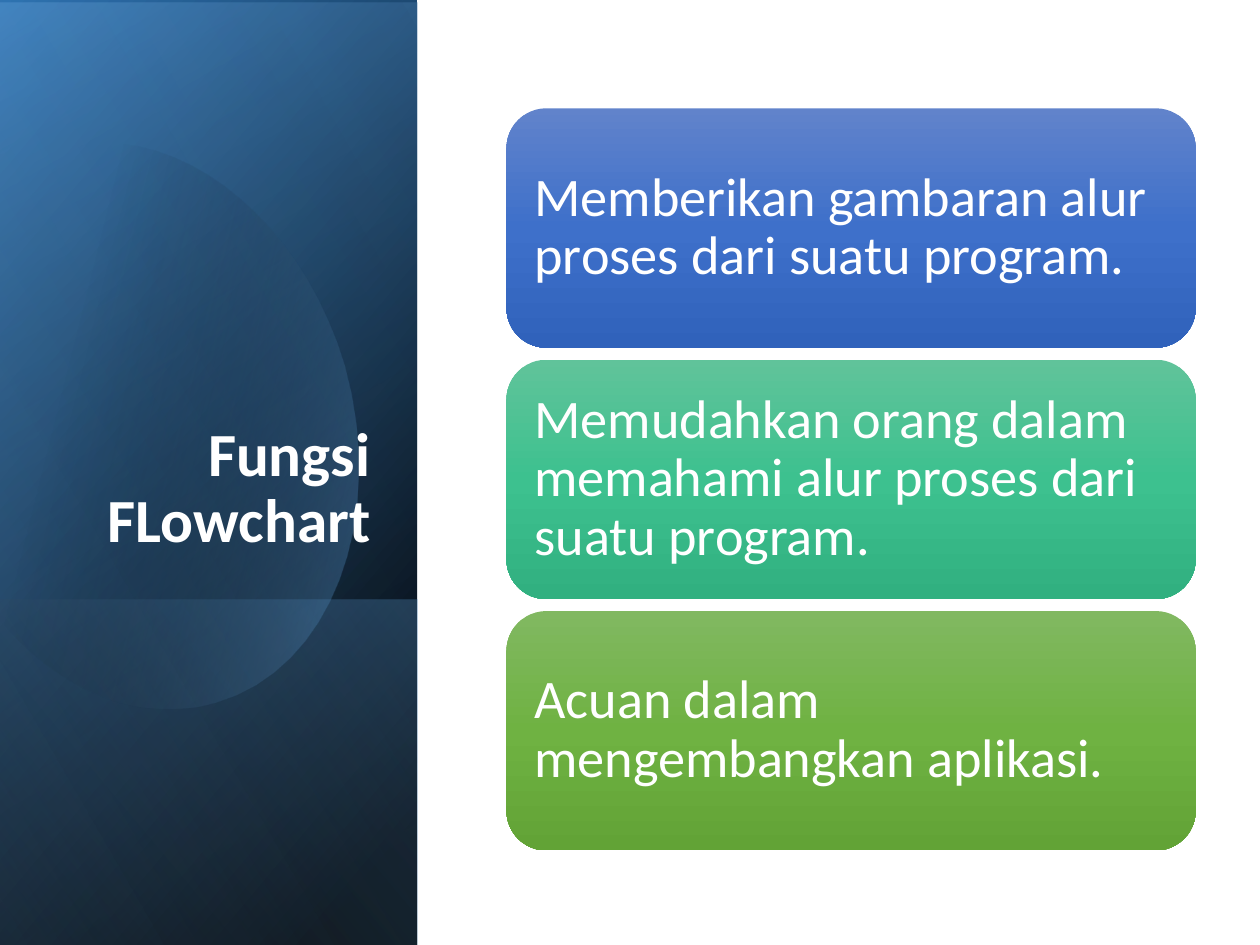
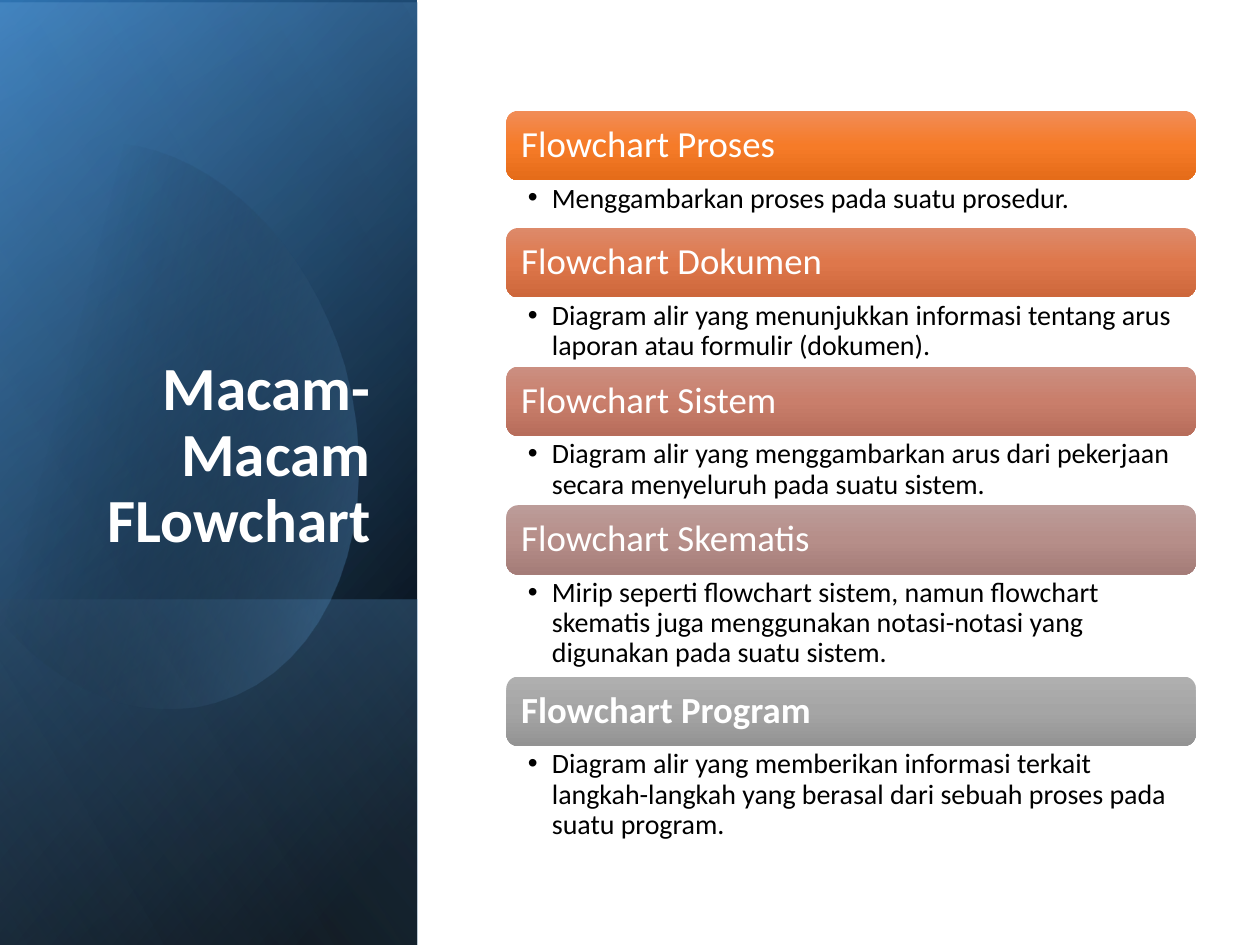
from lxml.etree import SubElement
from pptx import Presentation
from pptx.dml.color import RGBColor
from pptx.enum.shapes import MSO_SHAPE
from pptx.enum.text import MSO_ANCHOR, PP_ALIGN
from pptx.oxml.ns import qn
from pptx.util import Emu, Inches, Pt

COLUMNS, ROWS = 100, 75
FONT = "Calibri"

WHITE = RGBColor(0xFF, 0xFF, 0xFF)
BLACK = RGBColor(0x00, 0x00, 0x00)
DEEP_BLUE = RGBColor(0x2E, 0x75, 0xB6)
BLUE = RGBColor(0x5B, 0x9B, 0xD5)
PALE_BLUE = RGBColor(0x9D, 0xC3, 0xE6)


def shades(*codes):
    """Three-step gradient stops, from top to bottom."""
    return [(place, RGBColor.from_string(code), 100)
            for place, code in zip((0, 50, 100), codes)]


ROYAL = shades("6183CB", "3E70CA", "3062BB")
MINT = shades("60C39A", "3DC18F", "31B080")
GREEN = shades("81B861", "6FB242", "62A336")
ORANGE = shades("F18C57", "F67B28", "E56C19")
RUST = shades("DD8A6A", "DE774B", "CD673B")
ROSE = shades("CB8F81", "C97E6B", "B76D5B")
MAUVE = shades("BC9C99", "B68E89", "A47C78")
GREY = shades("AFAFAF", "A5A5A5", "939393")

SIDE_WIDTH = 33.1
FOOT_HEIGHT = 27.4
# Place, gradient stops (position, colour, opacity) and angle, in each case
PANEL_BASE = ((0, 0, SIDE_WIDTH, ROWS), [(8, BLACK, 100), (100, DEEP_BLUE, 100)], 50)
PANEL_GLOW = ((0, 0.2, SIDE_WIDTH, ROWS), [(0, BLACK, 0), (99, BLUE, 46)], 30)
PANEL_FOOT = ((0, ROWS - FOOT_HEIGHT, SIDE_WIDTH, FOOT_HEIGHT),
              [(2, BLUE, 29), (100, BLACK, 30)], 130)
PANEL_SHEEN = ((0, 0, SIDE_WIDTH, ROWS), [(0, BLACK, 0), (99, PALE_BLUE, 11)], 120)

OVAL_START = (9.6, 11.4)
OVAL_CURVES = [
    [(17.1, 12.2), (24.4, 19.2), (27.3, 29)],
    [(30.7, 41.2), (26.2, 53.1), (17.1, 55.7)],
    [(11.4, 57.4), (5.3, 55), (0.7, 50)],
    [(-0.3, 48.8)],
    [(-2.5, 16.6)],
    [(-1.5, 15.4)],
    [(0.2, 13.7), (2.2, 12.5), (4.5, 11.8)],
    [(6.2, 11.3), (7.9, 11.2), (9.6, 11.4)],
]
OVAL_STOPS = [(29, BLACK, 0), (100, BLUE, 43)]

LIST_LEFT, LIST_WIDTH = 40.2, 54.7
CARD_TOP, CARD_HEIGHT, CARD_STEP = 8.6, 19, 19.95
HEADING_TOP, HEADING_HEIGHT = 8.8, 5.5
BODY_HEIGHTS = {1: 3.8, 2: 5.5, 3: 8.1}

TITLE_TEXT = dict(size=35, colour=WHITE, bold=True, align=PP_ALIGN.RIGHT,
                  anchor=MSO_ANCHOR.BOTTOM, insets=(1, 0.5, 1, 0.5))
CARD_TEXT = dict(size=31, colour=WHITE, insets=(1.3,) * 4)
HEADING_TEXT = dict(size=21, colour=WHITE, insets=(0.9,) * 4)
BODY_TEXT = dict(size=16, colour=BLACK, anchor=MSO_ANCHOR.TOP,
                 insets=(1.7, 0.3, 1.6, 0.3), bullet=1.9)

FUNCTIONS = [
    ("Memberikan gambaran alur proses dari suatu program.", ROYAL),
    ("Memudahkan orang dalam memahami alur proses dari suatu program.", MINT),
    ("Acuan dalam mengembangkan aplikasi.", GREEN),
]
# Heading, colours, description, lines of description, bold heading
KINDS = [
    ("Flowchart Proses", ORANGE, "Menggambarkan proses pada suatu prosedur.", 1, False),
    ("Flowchart Dokumen", RUST,
     "Diagram alir yang menunjukkan informasi tentang arus laporan atau "
     "formulir (dokumen).", 2, False),
    ("Flowchart Sistem", ROSE,
     "Diagram alir yang menggambarkan arus dari pekerjaan secara menyeluruh "
     "pada suatu sistem.", 2, False),
    ("Flowchart Skematis", MAUVE,
     "Mirip seperti flowchart sistem, namun flowchart skematis juga menggunakan "
     "notasi-notasi yang digunakan pada suatu sistem.", 3, False),
    ("Flowchart Program", GREY,
     "Diagram alir yang memberikan informasi terkait langkah-langkah yang "
     "berasal dari sebuah proses pada suatu program.", 3, True),
]


def set_all(target, values):
    for name, value in values.items():
        setattr(target, name, value)


def curve_points(start, controls, steps=16):
    """Points along a Bézier curve, or the end point of a straight edge."""
    if len(controls) == 1:
        return controls
    points = []
    for step in range(1, steps + 1):
        t = step / steps
        weights = ((1 - t) ** 3, 3 * t * (1 - t) ** 2, 3 * t * t * (1 - t), t ** 3)
        points.append(tuple(sum(weight * point[axis] for weight, point
                                in zip(weights, [start, *controls]))
                            for axis in (0, 1)))
    return points


class Painter:
    """Holds the deck, its grid and the page being drawn."""

    def __init__(self):
        self.deck = Presentation()
        set_all(self.deck, dict(slide_width=Inches(10), slide_height=Inches(7.5)))
        self.unit = self.deck.slide_width / COLUMNS
        self.page = None

    def grid(self, *lengths):
        return [Emu(round(length * self.unit)) for length in lengths]

    def new_page(self, title):
        self.page = self.deck.slides.add_slide(self.deck.slide_layouts[6])
        for panel in (PANEL_BASE, PANEL_GLOW, PANEL_FOOT):
            self.side_panel(*panel)
        self.oval()
        self.side_panel(*PANEL_SHEEN)
        self.text_box((4.8, 18.4, 25.6, 26.2), title, TITLE_TEXT)

    def paint(self, shape, stops, angle):
        shape.shadow.inherit = False
        shape.line.fill.background()
        shape.fill.gradient()
        shape.fill.gradient_angle = -angle % 360
        stop_list = shape._element.spPr.find(qn("a:gradFill")).find(qn("a:gsLst"))
        for stop in list(stop_list):
            stop_list.remove(stop)
        for place, colour, opacity in stops:
            stop = SubElement(stop_list, qn("a:gs"), pos=str(place * 1000))
            tone = SubElement(stop, qn("a:srgbClr"), val=str(colour))
            if opacity < 100:
                SubElement(tone, qn("a:alpha"), val=str(opacity * 1000))

    def side_panel(self, place, stops, angle):
        """A mirrored rectangle on its side, so that its gradient turns too."""
        left, top, width, height = place
        shift = (width - height) / 2
        box = self.page.shapes.add_shape(
            MSO_SHAPE.RECTANGLE, *self.grid(left + shift, top - shift, height, width))
        box.rotation = 90
        box._element.spPr.find(qn("a:xfrm")).set("flipH", "1")
        self.paint(box, stops, angle)

    def oval(self):
        points = [OVAL_START]
        for controls in OVAL_CURVES:
            points += curve_points(points[-1], controls)
        start, *rest = [self.grid(*point) for point in points]
        builder = self.page.shapes.build_freeform(*start)
        builder.add_line_segments(rest, close=True)
        self.paint(builder.convert_to_shape(), OVAL_STOPS, 14)

    def put_text(self, shape, text, style):
        frame = shape.text_frame
        left, top, right, bottom = self.grid(*style["insets"])
        set_all(frame, dict(word_wrap=True, margin_left=left, margin_top=top,
                            margin_right=right, margin_bottom=bottom,
                            vertical_anchor=style.get("anchor", MSO_ANCHOR.MIDDLE)))
        para = frame.paragraphs[0]
        set_all(para, dict(alignment=style.get("align", PP_ALIGN.LEFT), line_spacing=0.9))
        if "bullet" in style:
            indent, = self.grid(style["bullet"])
            properties = para._p.get_or_add_pPr()
            properties.set("marL", str(indent))
            properties.set("indent", str(-indent))
            SubElement(properties, qn("a:buFont"), typeface="Arial")
            SubElement(properties, qn("a:buChar"), char="•")
        span = para.add_run()
        span.text = text
        set_all(span.font, dict(name=FONT, size=Pt(style["size"]),
                                bold=style.get("bold", False)))
        span.font.color.rgb = style["colour"]

    def text_box(self, place, text, style):
        self.put_text(self.page.shapes.add_textbox(*self.grid(*place)), text, style)

    def card(self, place, text, stops, style):
        box = self.page.shapes.add_shape(MSO_SHAPE.ROUNDED_RECTANGLE, *self.grid(*place))
        self.paint(box, stops, 90)
        self.put_text(box, text, style)


def draw_functions(painter):
    painter.new_page("Fungsi FLowchart")
    for index, (text, stops) in enumerate(FUNCTIONS):
        top = CARD_TOP + index * CARD_STEP
        painter.card((LIST_LEFT, top, LIST_WIDTH, CARD_HEIGHT), text, stops, CARD_TEXT)


def draw_kinds(painter):
    painter.new_page("Macam-Macam FLowchart")
    top = HEADING_TOP
    for heading, stops, body, lines, bold in KINDS:
        painter.card((LIST_LEFT, top, LIST_WIDTH, HEADING_HEIGHT), heading, stops,
                     HEADING_TEXT | dict(bold=bold))
        top += HEADING_HEIGHT
        painter.text_box((LIST_LEFT, top, LIST_WIDTH, BODY_HEIGHTS[lines]), body, BODY_TEXT)
        top += BODY_HEIGHTS[lines]


def main():
    painter = Painter()
    draw_functions(painter)
    draw_kinds(painter)
    painter.deck.save("out.pptx")


if __name__ == "__main__":
    main()
